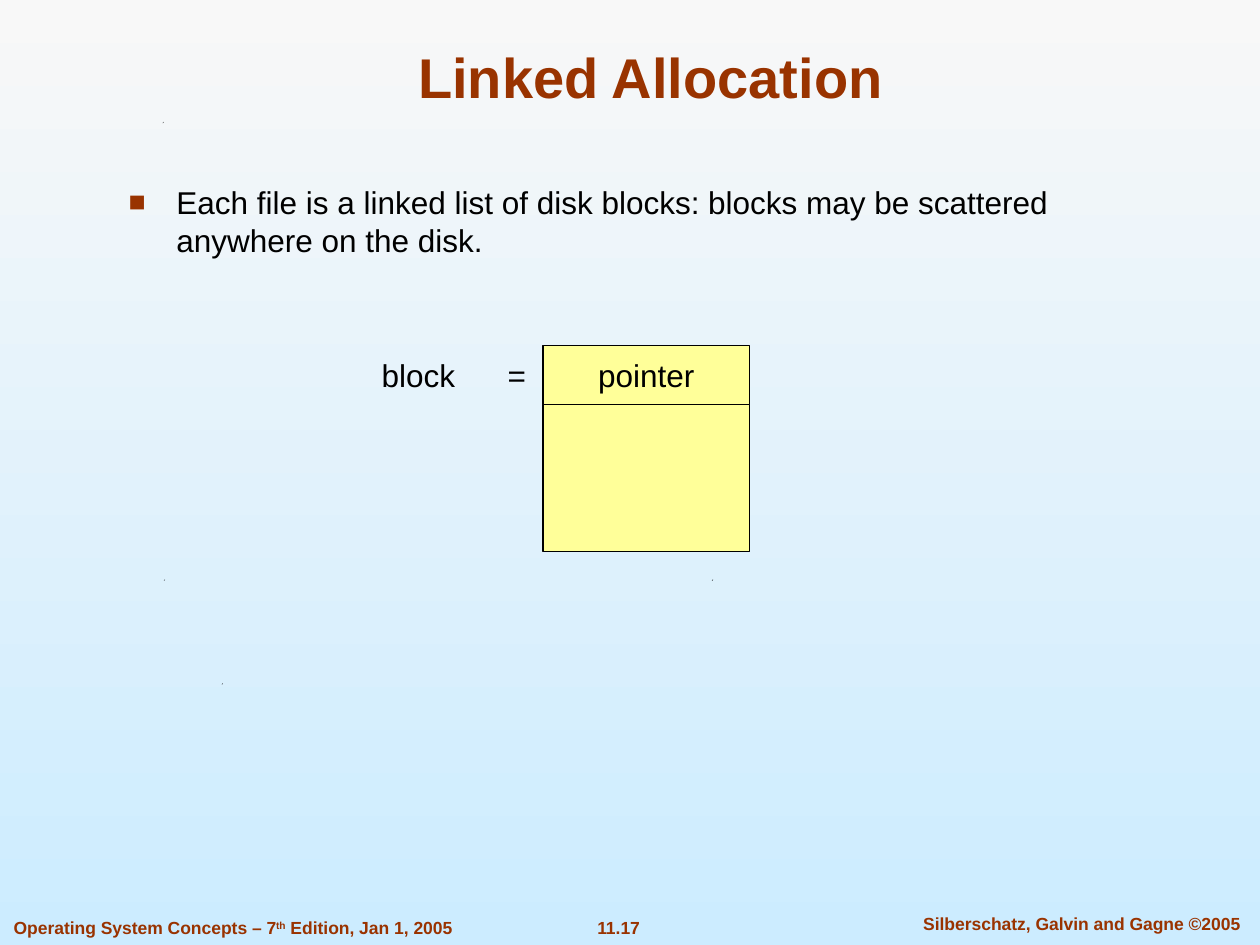
from lxml import etree
from pptx import Presentation, util as u
from pptx.dml.color import RGBColor
from pptx.enum import shapes, text
from pptx.oxml.ns import qn

WIDE, HIGH = u.Inches(10), u.Inches(7.5)
RUST, BLACK, YELLOW = "993300", "000000", "FFFF99"
LEFT, MID = text.PP_ALIGN.LEFT, text.PP_ALIGN.CENTER
TOP, CENTER, BASE = (text.MSO_ANCHOR.TOP, text.MSO_ANCHOR.MIDDLE,
                     text.MSO_ANCHOR.BOTTOM)


def hue(code):
    return RGBColor.from_string(code)


def area(left, top, width, height):
    """Turn percentages of the slide into lengths."""
    return (int(WIDE * left / 100), int(HIGH * top / 100),
            int(WIDE * width / 100), int(HIGH * height / 100))


def place(shape, box):
    shape.left, shape.top, shape.width, shape.height = area(*box)
    return shape


def write(shape, *parts, size=18, color=BLACK, bold=False, align=LEFT,
          anchor=TOP):
    """Fill one paragraph; every second part is raised."""
    frame = shape.text_frame
    frame.word_wrap = True
    frame.auto_size = text.MSO_AUTO_SIZE.NONE
    frame.vertical_anchor = anchor
    para = frame.paragraphs[0]
    para.alignment = align
    for i, part in enumerate(parts):
        run = para.add_run()
        run.text = part
        font = run.font
        font.name, font.size, font.bold = "Arial", u.Pt(size), bold
        font.color.rgb = hue(color)
        if i % 2:
            font._element.set("baseline", "30000")
    return para


def label(slide, box, *parts, **style):
    return write(slide.shapes.add_textbox(*area(*box)), *parts, **style)


def block(slide, box):
    rect = slide.shapes.add_shape(shapes.MSO_SHAPE.RECTANGLE, *area(*box))
    rect.shadow.inherit = False
    rect.fill.solid()
    rect.fill.fore_color.rgb = hue(YELLOW)
    rect.line.color.rgb = hue(BLACK)
    rect.line.width = u.Pt(0.75)
    return rect


def speck(slide, left, top):
    """Draw a tiny triangle."""
    x, y, side, _ = area(left, top, 0.1, 0)
    pen = slide.shapes.build_freeform(x, y + side)
    pen.add_line_segments([(x + side, y), (x + side // 2, y + side)])
    dot = pen.convert_to_shape()
    dot.shadow.inherit = False
    dot.fill.solid()
    dot.fill.fore_color.rgb = hue(BLACK)
    dot.line.fill.background()


def bullet(para, mark, color):
    props = para._p.get_or_add_pPr()
    props.set("marL", str(u.Inches(0.38)))
    props.set("indent", str(-u.Inches(0.38)))
    tint = etree.SubElement(props, qn("a:buClr"))
    etree.SubElement(tint, qn("a:srgbClr"), val=color)
    etree.SubElement(props, qn("a:buSzPct"), val="90000")
    etree.SubElement(props, qn("a:buFont"), typeface="Arial")
    etree.SubElement(props, qn("a:buChar"), char=mark)


def tab(para, inches):
    stops = etree.SubElement(para._p.get_or_add_pPr(), qn("a:tabLst"))
    etree.SubElement(stops, qn("a:tab"), pos=str(u.Inches(inches)), algn="l")


def back(slide):
    fill = slide.background.fill
    fill.gradient()
    fill.gradient_angle = 270
    for stop, code in zip(fill.gradient_stops, ("F8F8F8", "CCECFF")):
        stop.color.rgb = hue(code)


def main():
    deck = Presentation()
    deck.slide_width, deck.slide_height = WIDE, HIGH
    slide = deck.slides.add_slide(deck.slide_layouts[1])
    back(slide)

    # Specks of the backdrop
    for spot in ((17.6, 72.3), (13, 61.3), (56.5, 61.3), (12.9, 12.9)):
        speck(slide, *spot)

    # Footer
    foot = dict(size=10, color=RUST, bold=True)
    label(slide, (0.1, 96.4, 36.8, 3.6), "Operating System Concepts – 7",
          "th", " Edition, Jan 1, 2005", **foot)
    label(slide, (43.8, 96.4, 10.6, 3.6), "11.17", align=MID, **foot)
    label(slide, (71, 96, 29.7, 3.6), "Silberschatz, Galvin and Gagne ©2005",
          align=MID, **foot)

    # Title and list
    title, body = slide.placeholders
    write(place(title, (7.5, 3.33, 88.3, 8.93)), "Linked Allocation",
          size=32, color=RUST, bold=True, align=MID, anchor=BASE)
    item = write(place(body, (9.2, 18.67, 80.4, 10.8)),
                 "Each file is a linked list of disk blocks: blocks may be "
                 "scattered anywhere on the disk.")
    item.space_before = u.Pt(7.9)
    bullet(item, "■", RUST)

    # Disk block: pointer above data
    left, top, width, head, data = 43.1, 36.53, 16.4, 6.27, 15.6
    write(block(slide, (left, top, width, head)), "pointer",
          align=MID, anchor=CENTER)
    block(slide, (left, top + head, width, data))
    name = label(slide, (29.3, top, 14, head), "block\t=", anchor=CENTER)
    tab(name, 1)

    deck.save("out.pptx")


if __name__ == "__main__":
    main()
